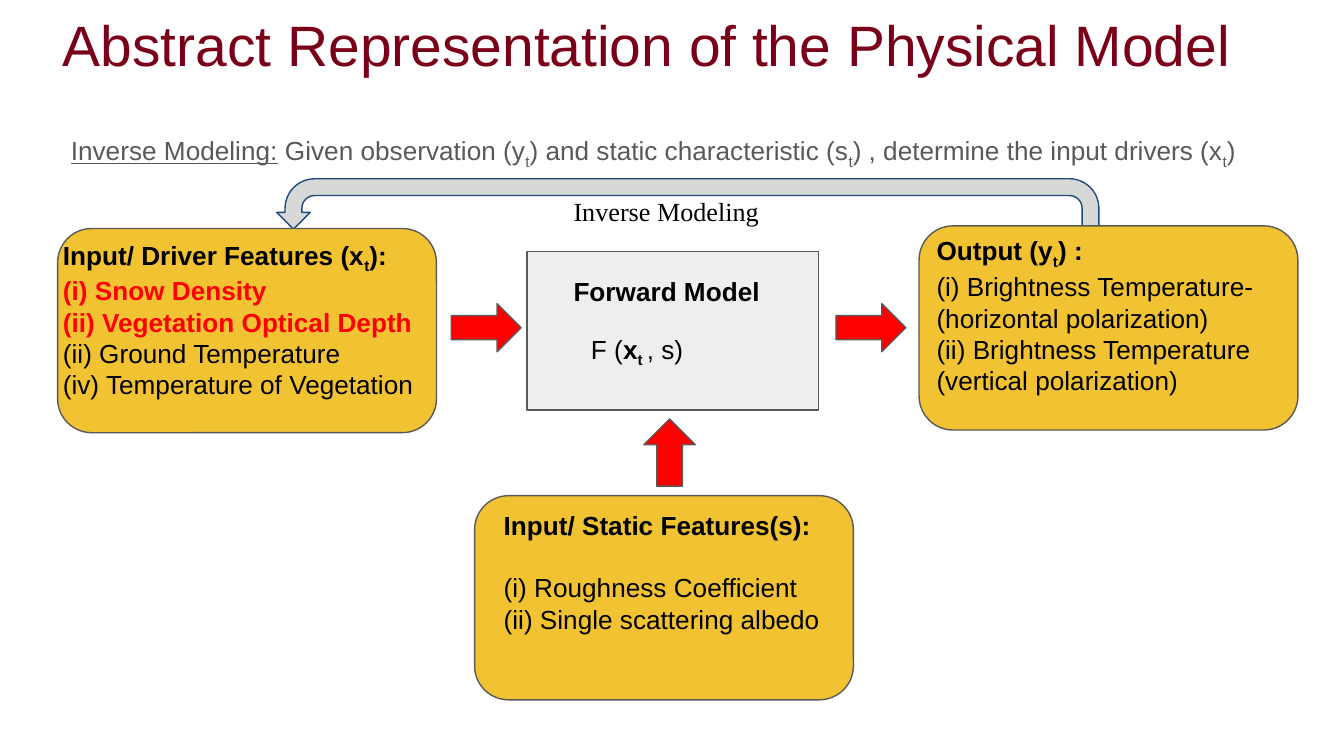
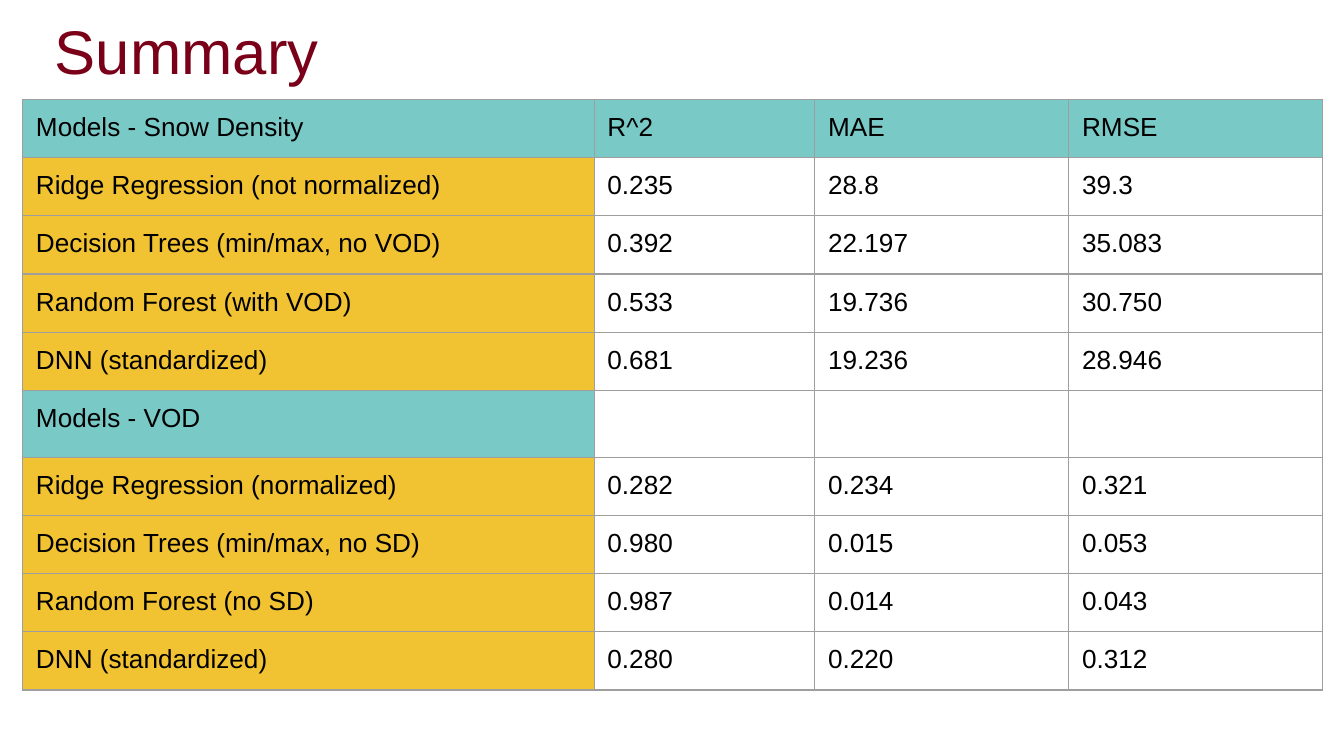
from lxml import etree
from pptx import Presentation
from pptx.dml.color import RGBColor
from pptx.enum.shapes import MSO_SHAPE
from pptx.enum.text import MSO_ANCHOR
from pptx.oxml.ns import qn
from pptx.util import Cm, Pt

ROUND, RECT = MSO_SHAPE.ROUNDED_RECTANGLE, MSO_SHAPE.RECTANGLE
RIGHT, UP, UTURN = MSO_SHAPE.RIGHT_ARROW, MSO_SHAPE.UP_ARROW, MSO_SHAPE.U_TURN_ARROW
MIDDLE, TOP = MSO_ANCHOR.MIDDLE, MSO_ANCHOR.TOP


class Theme:
    font, serif = "Arial", "Times New Roman"
    maroon, red, black, gray = "7A0019", "FF0000", "000000", "595959"
    gold, teal, pale, silver = "F1C232", "79C9C7", "EEEEEE", "D7D9D7"
    navy, grid = "1F497D", "9E9E9E"
    body, long, head = 14, 30.5, 33
    line, inset = 0.75, 0.25


def write(frame, lines, size=Theme.body, color=Theme.black, font=Theme.font,
          anchor=TOP, space=None, gap=0):
    """Each line is a list of (text, marks): b bold, u underline, s subscript, r red.

    gap is the space in points between the first line and the second.
    """
    frame.word_wrap = True
    frame.vertical_anchor = anchor
    for n, line in enumerate(lines):
        para = frame.paragraphs[0] if n == 0 else frame.add_paragraph()
        if space:
            para.line_spacing = space
        if n == 1 and gap:
            para.space_before = Pt(gap)
        for text, marks in line:
            run = para.add_run()
            run.text = text
            face = run.font
            face.name, face.size = font, Pt(size)
            face.bold, face.underline = "b" in marks, "u" in marks
            face.color.rgb = RGBColor.from_string(Theme.red if "r" in marks else color)
            if "s" in marks:
                face._element.set("baseline", "-25000")


def place(slide, box, kind=None, fill=None, line=Theme.gray, inset=Theme.inset):
    """Add a preset shape, or a text box when no kind is given."""
    spot = [Cm(v) for v in box]
    if kind is None:
        item = slide.shapes.add_textbox(*spot)
        frame = item.text_frame
        frame.margin_left = frame.margin_right = Cm(inset)
        frame.margin_top = frame.margin_bottom = Cm(inset)
        return frame
    item = slide.shapes.add_shape(kind, *spot)
    item.shadow.inherit = False
    item.fill.solid()
    item.fill.fore_color.rgb = RGBColor.from_string(fill)
    item.line.color.rgb = RGBColor.from_string(line)
    item.line.width = Pt(Theme.line)
    return item


deck = Presentation()
deck.slide_width, deck.slide_height = Cm(25.4), Cm(14.29)
blank = deck.slide_layouts[6]
model, recap = [deck.slides.add_slide(blank) for _ in range(2)]

# Titles
for slide, text, left, size, space, inset in (
    (model, "Abstract Representation of the Physical Model", 0.94, Theme.long, 0.8, 0.25),
    (recap, "Summary", 0.86, Theme.head, None, 0.18),
):
    write(place(slide, (left, 0.15, 23.67, 1.6), inset=inset), [[(text, "")]],
          size=size, color=Theme.maroon, anchor=MIDDLE, space=space)

# Return arrow, from output back to input
back = place(model, (5.23, 3.38, 15.54, 1.27), UTURN, Theme.silver, Theme.navy)
for n, value in enumerate((0.25, 0.25, 0.25, 0.44, 0.75)):
    back.adjustments[n] = value
back.element.spPr.find(qn("a:xfrm")).set("flipH", "1")

# Boxes and arrows of the model
for left, top in ((8.97, 9.37), (17.37, 4.27), (1.09, 4.32)):
    place(model, (left, top, 7.16, 3.86), ROUND, Theme.gold)
place(model, (9.96, 4.75, 5.51, 3), RECT, Theme.pale)
for left in (8.53, 15.8):
    place(model, (left, 5.74, 1.32, 0.91), RIGHT, Theme.red)
place(model, (12.17, 7.92, 0.97, 1.27), UP, Theme.red)

# Labels of the model
write(place(model, (10.59, 4.95, 4.83, 1.12)), [[("Forward Model", "b")]])
write(place(model, (10.92, 6.05, 3.28, 1.12)),
      [[("F (", ""), ("x", "b"), ("t ", "bs"), (", s)", "")]])
write(place(model, (0.94, 4.27, 7.49, 4.11)), [
    [("Input/ Driver Features (x", "b"), ("t", "bs"), ("):", "b")],
    [("(i) Snow Density", "br")],
    [("(ii) Vegetation Optical Depth", "br")],
    [("(ii) Ground Temperature", "")],
    [("(iv) Temperature of Vegetation", "")],
])
write(place(model, (9.27, 9.37, 7.49, 3.51)), [
    [("Input/ Static Features(s):", "b")],
    [("(i) Roughness Coefficient", "")],
    [("(ii) Single scattering albedo", "")],
], gap=16.8)
write(place(model, (17.45, 4.19, 7.49, 4.11)), [
    [("Output (y", "b"), ("t", "bs"), (") :", "b")],
    [("(i) Brightness Temperature- (horizontal polarization)", "")],
    [("(ii) Brightness Temperature (vertical polarization)", "")],
])
write(place(model, (1.09, 2.29, 23.32, 1.12)), [[
    ("Inverse Modeling:", "u"), (" Given observation (y", ""), ("t", "s"),
    (") and static characteristic (s", ""), ("t", "s"),
    (") , determine the input drivers (x", ""), ("t", "s"), (")", ""),
]], color=Theme.gray)
write(place(model, (10.59, 3.45, 5.97, 1.12)), [[("Inverse Modeling", "")]],
      font=Theme.serif)

# Table of scores
rows = [
    ("Models - Snow Density", "R^2", "MAE", "RMSE"),
    ("Ridge Regression (not normalized)", "0.235", "28.8", "39.3"),
    ("Decision Trees (min/max, no VOD)", "0.392", "22.197", "35.083"),
    ("Random Forest (with VOD)", "0.533", "19.736", "30.750"),
    ("DNN (standardized)", "0.681", "19.236", "28.946"),
    ("Models - VOD", "", "", ""),
    ("Ridge Regression (normalized)", "0.282", "0.234", "0.321"),
    ("Decision Trees (min/max, no SD)", "0.980", "0.015", "0.053"),
    ("Random Forest (no SD)", "0.987", "0.014", "0.043"),
    ("DNN (standardized)", "0.280", "0.220", "0.312"),
]
widths = (10.8, 4.17, 4.8, 4.8)
table = recap.shapes.add_table(len(rows), len(widths), Cm(0.43), Cm(1.88),
                               Cm(sum(widths)), Cm(11.12)).table
table.first_row = table.horz_banding = False
for col, width in zip(table.columns, widths):
    col.width = Cm(width)
for r, row in enumerate(rows):
    group = row[0].startswith("Models")
    table.rows[r].height = Cm(1.1 if row[1] else 1.22)
    for c, text in enumerate(row):
        cell = table.cell(r, c)
        cell.margin_left = cell.margin_right = Cm(Theme.inset)
        cell.margin_top = cell.margin_bottom = Cm(Theme.inset)
        if text:
            write(cell.text_frame, [[(text, "")]])
        # Borders come before the fill in the cell's properties
        props = cell._tc.get_or_add_tcPr()
        for side in ("a:lnL", "a:lnR", "a:lnT", "a:lnB"):
            edge = etree.SubElement(props, qn(side), w=str(Pt(Theme.line)))
            paint = etree.SubElement(edge, qn("a:solidFill"))
            etree.SubElement(paint, qn("a:srgbClr"), val=Theme.grid)
        if text and (c == 0 or group):
            cell.fill.solid()
            cell.fill.fore_color.rgb = RGBColor.from_string(
                Theme.teal if group else Theme.gold)
        else:
            cell.fill.background()

deck.save("out.pptx")
